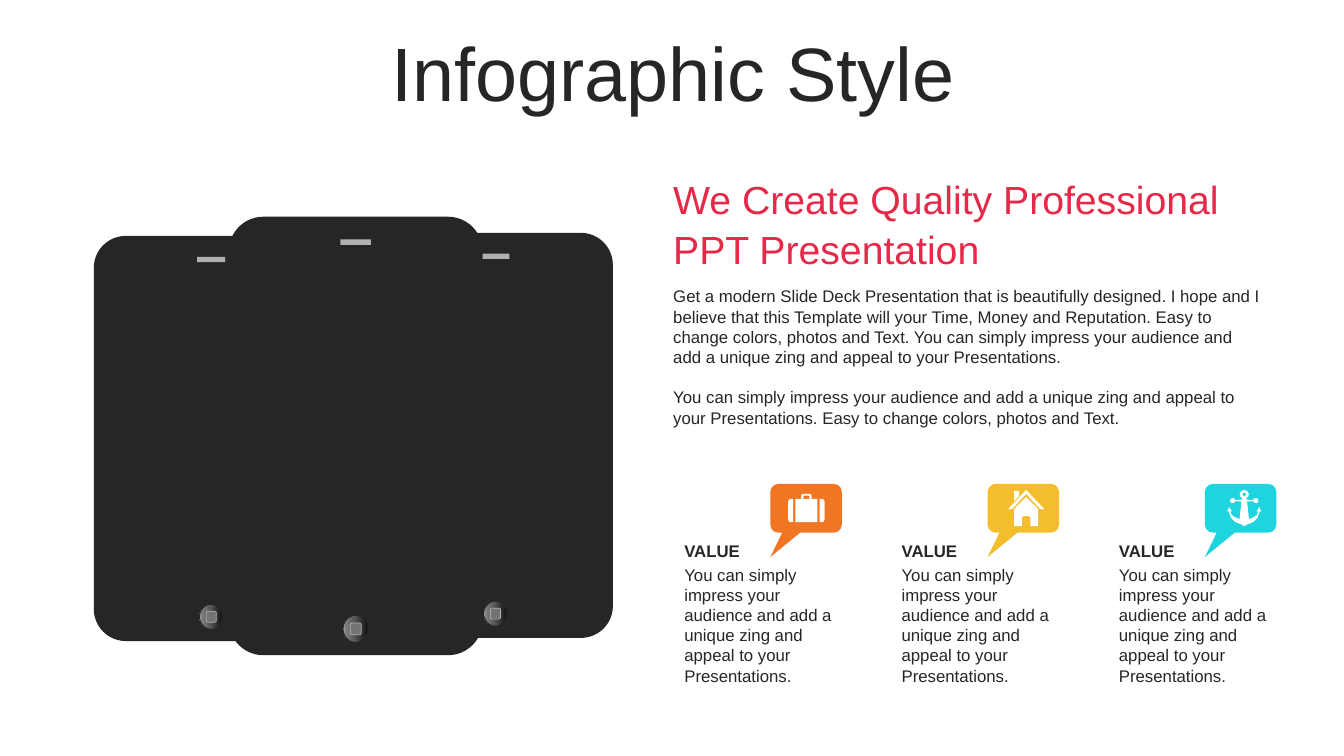
from copy import deepcopy
from dataclasses import dataclass

from pptx import Presentation
from pptx import util as u
from pptx.dml.color import RGBColor
from pptx.enum import shapes, text
from pptx.oxml.ns import qn

DARK = RGBColor(0x26, 0x26, 0x26)
GREY = RGBColor(0xB0, 0xB0, 0xB0)
MID = RGBColor(0x73, 0x73, 0x73)
RED = RGBColor(0xE6, 0x29, 0x49)
ORANGE = RGBColor(0xF0, 0x76, 0x24)
GOLD = RGBColor(0xF4, 0xBD, 0x2D)
CYAN = RGBColor(0x1E, 0xD4, 0xDE)
WHITE = RGBColor(0xFF, 0xFF, 0xFF)
SHEEN = [(0, RGBColor(0x0F, 0x0F, 0x0F)), (0.56, RGBColor(0x59, 0x59, 0x59)),
         (0.91, RGBColor(0x80, 0x80, 0x80)), (1, RGBColor(0xBF, 0xBF, 0xBF))]
KIND = shapes.MSO_SHAPE
ALIGN = text.PP_ALIGN
ANCHOR = text.MSO_ANCHOR

Loop = list[tuple[float, float]]


@dataclass
class Phone:
    x: float
    y: float
    w: float
    h: float


@dataclass
class Value:
    color: RGBColor
    icon: list[Loop]
    dx: float  # icon axis, from the left of the callout
    dy: float  # icon top, from the top of the callout


def flip(loop: Loop) -> Loop:
    return [(-x, y) for x, y in reversed(loop)]


def whole(half: Loop) -> Loop:
    """Close a right half with its mirror image about the axis x = 0."""
    return half + flip(half)


PANEL = [(9.4, 3.6), (10.8, 3.6), (12.4, 4), (13, 5.2), (13, 18.4),
         (12.4, 19.7), (11.2, 20.2), (9.4, 20.2)]
CASE = [
    PANEL,
    flip(PANEL),
    whole([(0, 0), (2.5, 0), (3.4, 0.5), (3.7, 1.3), (3.7, 3.6), (7.9, 3.6),
           (7.9, 20.2), (0, 20.2)]),
    whole([(0, 1.2), (1.7, 1.2), (2.1, 2), (2.1, 3.6), (0, 3.6)]),
]
HOUSE = [
    whole([(0, 5), (8.6, 13.7), (8.6, 25.9), (3.1, 25.9), (3.1, 20.2),
           (2.7, 19.1), (1.6, 18.7), (0, 18.7)]),
    whole([(0, 0), (13, 13.7), (10.1, 13.7), (0, 2.9)]),
    [(-8.6, 0.7), (-5, 0.7), (-5, 4.3), (-8.6, 7.9)],
]
BOAT = [
    whole([(0, 0), (2.2, 0.8), (3.3, 2.9), (2.8, 4.8), (1.5, 5.8), (1.8, 7),
           (6.5, 7), (7.2, 6.1), (8.6, 5.8), (9.7, 6.4), (10.1, 7.6),
           (9.7, 8.9), (8.6, 9.4), (7.2, 9), (6.5, 8.1), (2, 8.1),
           (3.4, 20.9), (6.9, 19.4), (9, 17.7), (10.1, 15.3), (8.6, 15.4),
           (9.9, 13.7), (10.7, 12.2), (11.4, 13.8), (12.3, 15.4),
           (11, 15.3), (9.6, 19.7), (6.6, 22.8), (2.2, 24.6), (0, 25.9)]),
    whole([(0, 1.8), (0.9, 2.2), (1.3, 3.1), (0.9, 4), (0, 4.4)]),
]

PHONES = [Phone(67, 168.5, 167.8, 289.4), Phone(270, 166.3, 167.8, 289.4),
          Phone(163.4, 154.8, 181.4, 313.2)]
VALUES = [Value(ORANGE, CASE, 25.8, 7.2), Value(GOLD, HOUSE, 27.6, 4.4),
          Value(CYAN, BOAT, 28.2, 4.4)]
STEP = 155.2

INTRO = [
    "Get a modern Slide Deck Presentation that is beautifully designed. I hope "
    "and I believe that this Template will your Time, Money and Reputation. Easy "
    "to change colors, photos and Text. You can simply impress your audience and "
    "add a unique zing and appeal to your Presentations.",
    "You can simply impress your audience and add a unique zing and appeal to "
    "your Presentations. Easy to change colors, photos and Text.",
]
BLURB = ("You can simply impress your audience and add a unique zing and appeal "
         "to your Presentations.")

deck = Presentation()
deck.slide_width, deck.slide_height = u.Pt(960), u.Pt(540)
slide = deck.slides.add_slide(deck.slide_layouts[6])


def shape(kind, x: float, y: float, w: float, h: float, color: RGBColor):
    item = slide.shapes.add_shape(kind, u.Pt(x), u.Pt(y), u.Pt(w), u.Pt(h))
    item.shadow.inherit = False
    item.fill.solid()
    item.fill.fore_color.rgb = color
    item.line.fill.background()
    return item


def edge(item, color: RGBColor, width: float) -> None:
    item.line.color.rgb = color
    item.line.width = u.Pt(width)


def shade(item) -> None:
    """Give a button its four-stop gradient."""
    item.fill.gradient()
    item.fill.gradient_angle = 180
    stops = item._element.spPr.find(".//" + qn("a:gsLst"))
    for _ in range(len(SHEEN) - len(stops)):
        stops.append(deepcopy(stops[0]))
    for stop, (place, color) in zip(item.fill.gradient_stops, SHEEN):
        stop.color.rgb = color
        stop.position = place


def draw_phone(phone: Phone) -> None:
    def part(kind, mid: float, w: float, h: float, color: RGBColor):
        """Centre a part across the phone; sizes are shares of its own."""
        return shape(kind, phone.x + phone.w * (1 - w) / 2,
                     phone.y + phone.h * (mid - h / 2),
                     phone.w * w, phone.h * h, color)

    part(KIND.ROUNDED_RECTANGLE, 0.5, 1, 1, DARK).adjustments[0] = 0.136
    part(KIND.RECTANGLE, 0.058, 0.12, 0.013, GREY)
    knob = part(KIND.OVAL, 0.94, 0.1, 0.062, DARK)
    shade(knob)
    edge(knob, DARK, 0)
    edge(part(KIND.ROUNDED_RECTANGLE, 0.94, 0.043, 0.027, MID), GREY, 0.5)


def write(lines: list[str], x: float, y: float, w: float, h: float,
          size: float = 12, color: RGBColor = DARK, bold: bool = False,
          align=ALIGN.LEFT, anchor=ANCHOR.TOP, inset: bool = True,
          pitch=None, gap: float = 0) -> None:
    frame = slide.shapes.add_textbox(
        u.Pt(x), u.Pt(y), u.Pt(w), u.Pt(h)).text_frame
    frame.word_wrap = True
    frame.vertical_anchor = anchor
    if not inset:
        frame.margin_left = frame.margin_right = u.Pt(0)
        frame.margin_top = frame.margin_bottom = u.Pt(0)
    for i, line in enumerate(lines):
        para = frame.add_paragraph() if i else frame.paragraphs[0]
        para.text = line
        para.alignment = align
        para.line_spacing = pitch
        if i:
            para.space_before = u.Pt(gap)
        font = para.font
        font.name, font.size, font.bold = "Arial", u.Pt(size), bold
        font.color.rgb = color


def draw_icon(loops: list[Loop], x: float, y: float) -> None:
    """Draw loops given in points, kept to a hundredth of a point."""
    paths = [[(round(100 * (x + a)), round(100 * (y + b))) for a, b in loop]
             for loop in loops]
    pen = slide.shapes.build_freeform(*paths[0][0], scale=u.Pt(1) / 100)
    for i, path in enumerate(paths):
        if i:
            pen.move_to(*path[0])
        pen.add_line_segments(path[1:], close=True)
    icon = pen.convert_to_shape()
    icon.shadow.inherit = False
    icon.fill.solid()
    icon.fill.fore_color.rgb = WHITE
    icon.line.fill.background()


def draw_value(value: Value, shift: float) -> None:
    x, y = 550.2 + shift, 345.6
    bubble = shape(KIND.ROUNDED_RECTANGULAR_CALLOUT, x, y, 51.1, 34.9, value.color)
    for i, share in enumerate((-0.5, 1, 0.167)):
        bubble.adjustments[i] = share
    draw_icon(value.icon, x + value.dx, y + value.dy)
    write([BLURB], 488.8 + shift, 403.2, 109, 87, inset=False)
    write(["VALUE"], 488.8 + shift, 386.6, 109, 14.4, bold=True, inset=False)


for phone in PHONES:
    draw_phone(phone)
write(["Infographic Style"], 25.2, 26.6, 911.5, 56.9, size=54,
      align=ALIGN.CENTER, anchor=ANCHOR.MIDDLE, pitch=0.9)
write(["We Create Quality Professional", "PPT Presentation"],
      473.8, 129.6, 434.2, 64.8, size=28, color=RED, anchor=ANCHOR.MIDDLE,
      pitch=u.Pt(30), gap=5.6)
write(INTRO, 473.8, 200.9, 434.2, 108.7, gap=14.5)
for i, value in enumerate(VALUES):
    draw_value(value, i * STEP)

deck.save("out.pptx")
